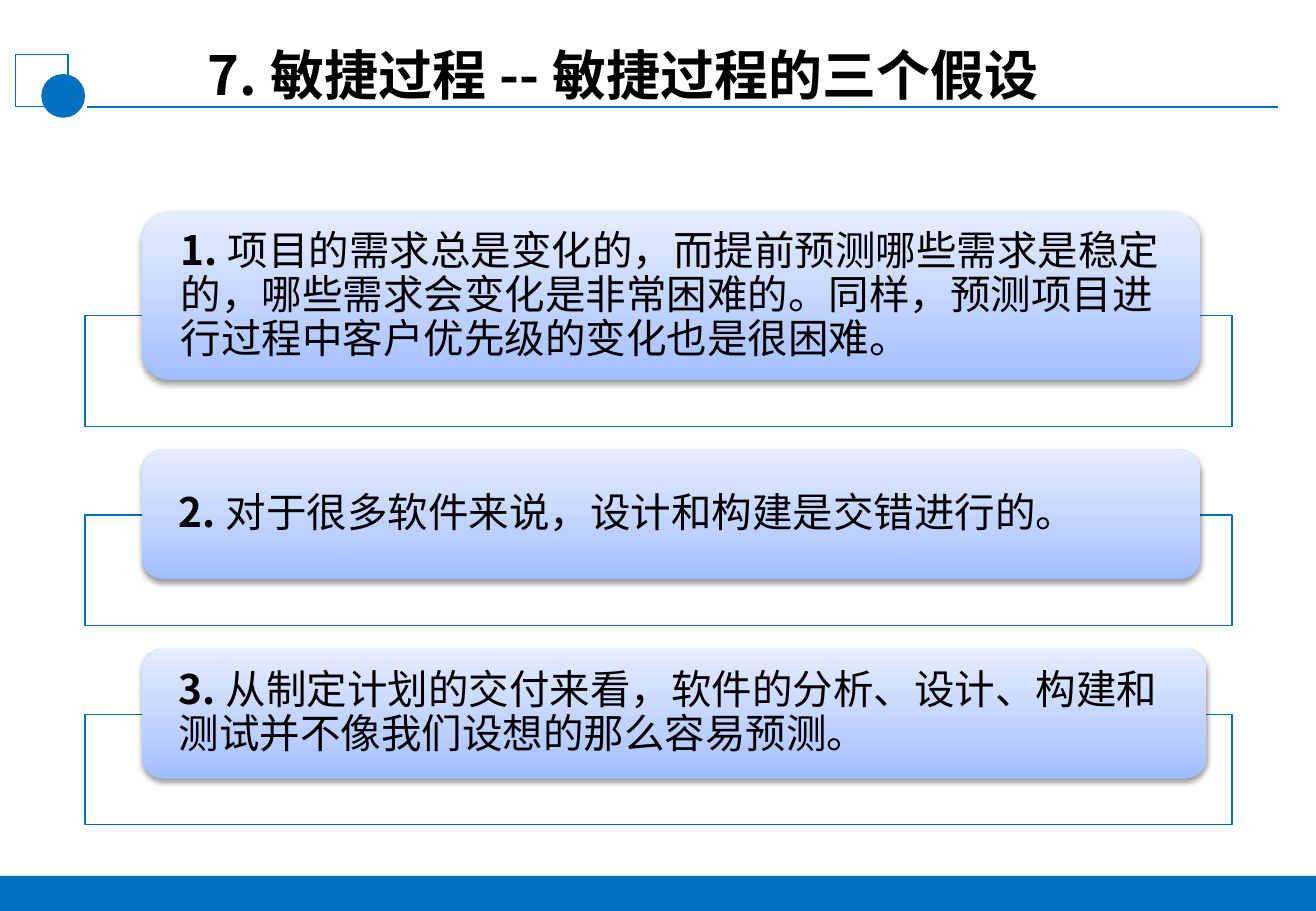
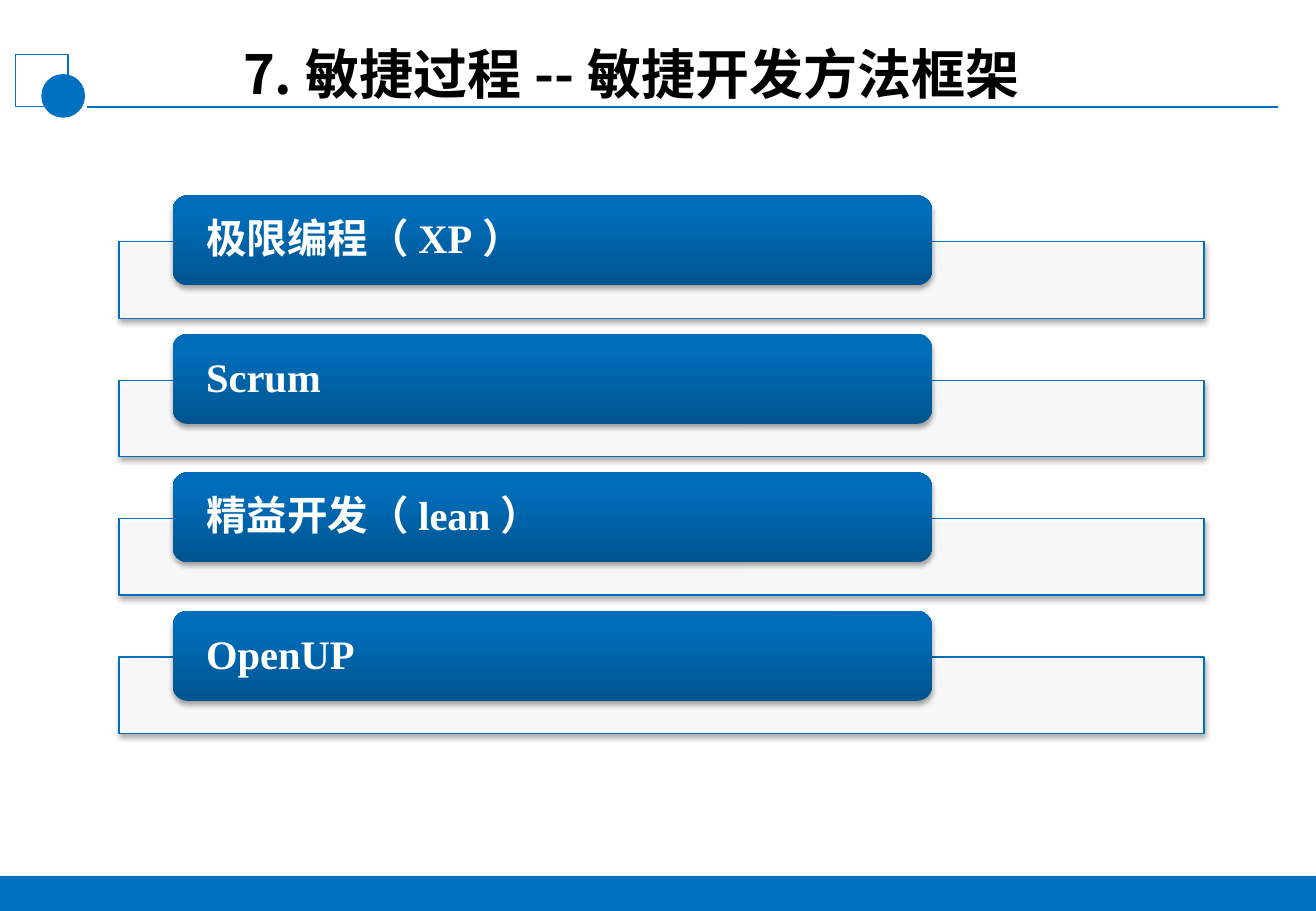
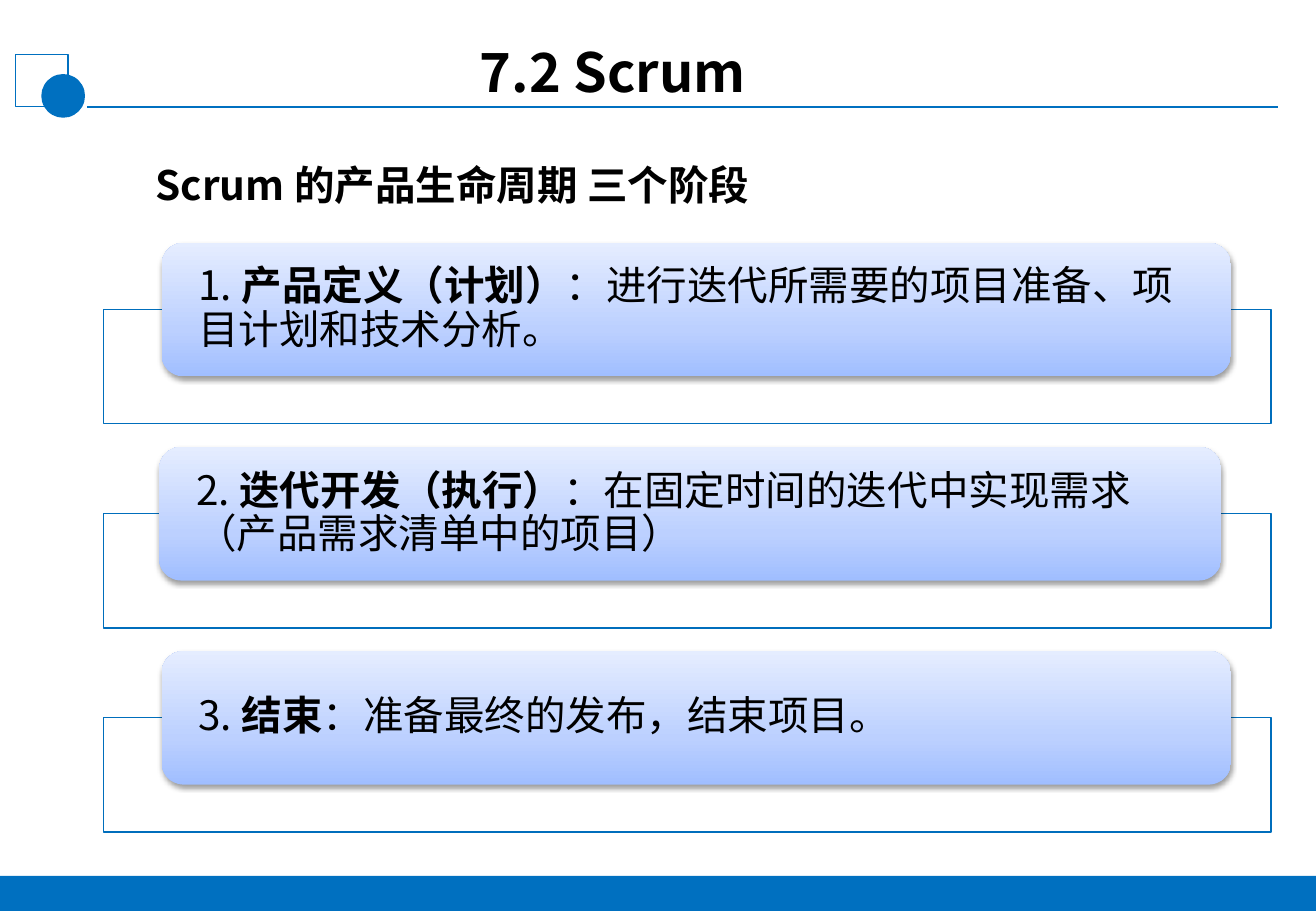
from dataclasses import dataclass

from lxml import etree
from pptx import Presentation
from pptx.dml.color import RGBColor
from pptx.enum.shapes import MSO_CONNECTOR as CONN, MSO_SHAPE as SHAPE
from pptx.enum.text import MSO_ANCHOR as ANCHOR, MSO_AUTO_SIZE as AUTOSIZE, PP_ALIGN as ALIGN
from pptx.oxml.ns import qn
from pptx.util import Emu, Pt

PX = 9144  # 100 px to the inch
WIDTH, HEIGHT = 1083, 750
BLUE, FRAME_BLUE, BLACK, WHITE = "0070C0", "006EBC", "000000", "FFFFFF"
SANS, SERIF = "Noto Sans CJK SC", "Times New Roman"


@dataclass
class CardStyle:
    """Look of a card stack; overlap is how far a card covers its frame."""
    stops: tuple
    shadow: tuple  # alpha %, distance in EMU
    frame_shadow: bool
    font: str
    color: str
    inset: int
    frame_h: int
    overlap: int
    gap: int


PALE_STOPS = ((0, "A0BEFF"), (35, "BCD0FF"), (100, "E5EDFF"))
DEEP_STOPS = ((0, "00548F"), (80, "006DBA"), (100, "006DBB"))
ASSUMPTION = CardStyle(PALE_STOPS, (38, 20000), False, SANS, BLACK, 25, 91, 53, 19)
FRAMEWORK = CardStyle(DEEP_STOPS, (35, 23000), True, SERIF, WHITE, 24, 63, 36, 13)
PHASE = CardStyle(PALE_STOPS, (38, 20000), False, SANS, BLACK, 25, 94, 55, 19)


def px(*values):
    return [Emu(v * PX) for v in values]


def rgb(color):
    return RGBColor.from_string(color)


def sub(parent, tag, **attrs):
    return etree.SubElement(parent, qn(tag), {k: str(v) for k, v in attrs.items()})


def add_shape(shapes, kind, box, fill=None, line=None):
    sp = shapes.add_shape(kind, *px(*box))
    sp.shadow.inherit = False
    if fill:
        sp.fill.solid()
        sp.fill.fore_color.rgb = rgb(fill)
    else:
        sp.fill.background()
    if line:
        sp.line.color.rgb = rgb(line)
        sp.line.width = Pt(0.75)
    else:
        sp.line.fill.background()
    return sp


def add_shadow(sp, alpha, dist):
    effects = sp._element.spPr.find(qn("a:effectLst"))
    shadow = sub(effects, "a:outerShdw", blurRad=40000, dist=dist, dir=5400000, rotWithShape=0)
    color = sub(shadow, "a:srgbClr", val=BLACK)
    sub(color, "a:alpha", val=alpha * 1000)


def set_gradient(sp, stops):
    """Fill from the bottom up with (percent, colour) stops."""
    sp.fill.gradient()
    sp.fill.gradient_angle = 90
    gs_list = sp._element.spPr.find(".//" + qn("a:gsLst"))
    for gs in list(gs_list):
        gs_list.remove(gs)
    for pos, color in stops:
        sub(sub(gs_list, "a:gs", pos=pos * 1000), "a:srgbClr", val=color)


def set_text(sp, runs, size, color=BLACK, font=SANS, inset=(7, 4), anchor=ANCHOR.TOP):
    """Write (text, bold) runs as one left-aligned paragraph."""
    tf = sp.text_frame
    tf.word_wrap = True
    tf.auto_size = AUTOSIZE.NONE
    tf.vertical_anchor = anchor
    tf.margin_left, tf.margin_top, tf.margin_right, tf.margin_bottom = px(*inset, *inset)
    p = tf.paragraphs[0]
    p.alignment = ALIGN.LEFT
    for text, bold in runs:
        r = p.add_run()
        r.text = text
        r.font.size = Pt(size)
        r.font.bold = bold
        r.font.color.rgb = rgb(color)
        r.font.name = font
        sub(r._r.get_or_add_rPr(), "a:ea", typeface=SANS)
    return p


def add_footer_band(layout, slide):
    """Draw the band on a slide, then hand it over to the layout."""
    band = add_shape(slide.shapes, SHAPE.RECTANGLE, (0, 721, WIDTH, 29), BLUE)
    layout.shapes.element.append(band._element)


def add_header(slide, title, box, inset=(7, 4)):
    rule = slide.shapes.add_connector(CONN.STRAIGHT, *px(72, 88, 1052, 88))
    rule.line.color.rgb = rgb(BLUE)
    rule.line.width = Pt(1.25)
    sub(rule._element.spPr, "a:effectLst")
    emblem = slide.shapes.add_group_shape()
    add_shape(emblem.shapes, SHAPE.RECTANGLE, (13, 45, 43, 43), line=BLUE)
    add_shape(emblem.shapes, SHAPE.OVAL, (34, 61, 36, 36), BLUE)
    sp = slide.shapes.title
    sp.left, sp.top, sp.width, sp.height = px(*box)
    set_text(sp, [(title, True)], 32, inset=inset)


def add_card(slide, box, runs, style):
    sp = add_shape(slide.shapes, SHAPE.ROUNDED_RECTANGLE, box)
    set_gradient(sp, style.stops)
    add_shadow(sp, *style.shadow)
    p = set_text(sp, runs, 24, style.color, style.font, (style.inset, 0), ANCHOR.MIDDLE)
    p.line_spacing = 0.9


def add_frame(slide, box, style):
    sp = add_shape(slide.shapes, SHAPE.RECTANGLE, box, WHITE, FRAME_BLUE)
    fill = sp._element.spPr.find(qn("a:solidFill"))
    sub(fill[0], "a:alpha", val=90000)
    if style.frame_shadow:
        add_shadow(sp, *style.shadow)


def add_card_stack(slide, left, top, width, cards, style):
    """Stack cards given as (indent, width, height, runs), each over a frame."""
    for indent, card_w, card_h, runs in cards:
        frame_top = top + card_h - style.overlap
        add_frame(slide, (left, frame_top, width, style.frame_h), style)
        add_card(slide, (left + indent, top, card_w, card_h), runs, style)
        top = frame_top + style.frame_h + style.gap


def fill_assumptions(slide):
    add_header(slide, "7.敏捷过程--敏捷过程的三个假设", (164, 30, 748, 66))
    cards = [
        (47, 871, 138, [("1.", True), ("项目的需求总是变化的，而提前预测哪些需求是稳定的，哪些需求会变化是"
                                       "非常困难的。同样，预测项目进行过程中客户优先级的变化也是很困难。", False)]),
        (47, 871, 107, [("2.", True), ("对于很多软件来说，设计和构建是交错进行的。", False)]),
        (47, 876, 107, [("3.", True), ("从制定计划的交付来看，软件的分析、设计、构建和测试并不像我们设想的"
                                       "那么容易预测。", False)]),
    ]
    add_card_stack(slide, 70, 175, 944, cards, ASSUMPTION)


def fill_frameworks(slide):
    add_header(slide, "7.敏捷过程--敏捷开发方法框架", (193, 29, 748, 66))
    names = ["极限编程（XP）", "Scrum", "精益开发（lean）", "OpenUP"]
    cards = [(44, 625, 74, [(name, True)]) for name in names]
    add_card_stack(slide, 98, 161, 893, cards, FRAMEWORK)


def fill_phases(slide):
    add_header(slide, "7.2 Scrum", (384, 27, 495, 65), inset=(11, 5))
    subtitle = slide.shapes.add_textbox(*px(121, 128, 882, 66))
    set_text(subtitle, [("Scrum的产品生命周期 三个阶段", True)], 24)
    phases = [
        (48, 880, "产品定义（计划）", "：进行迭代所需要的项目准备、项目计划和技术分析。"),
        (46, 874, "迭代开发（执行）", "：在固定时间的迭代中实现需求（产品需求清单中的项目）"),
        (48, 880, "结束", "：准备最终的发布，结束项目。"),
    ]
    cards = [(indent, width, 110, [(f"{n}.", False), (name, True), (detail, False)])
             for n, (indent, width, name, detail) in enumerate(phases, 1)]
    add_card_stack(slide, 85, 200, 961, cards, PHASE)


def main():
    prs = Presentation()
    prs.slide_width, prs.slide_height = px(WIDTH, HEIGHT)
    layout = prs.slide_layouts.get_by_name("Title Only")
    slides = [prs.slides.add_slide(layout) for _ in range(3)]
    add_footer_band(layout, slides[0])
    for fill_slide, slide in zip((fill_assumptions, fill_frameworks, fill_phases), slides):
        fill_slide(slide)
    prs.save("out.pptx")


if __name__ == "__main__":
    main()
